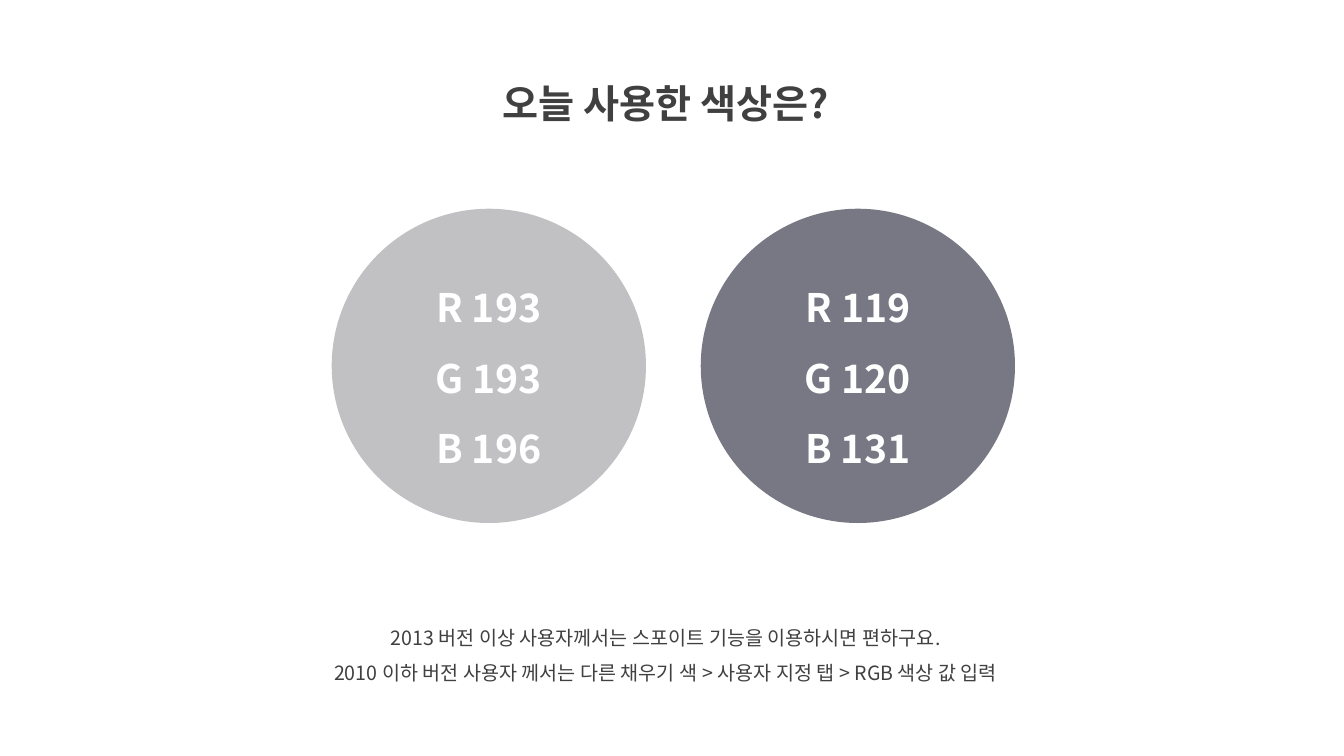
import dataclasses

import pptx
import pptx.dml.color
import pptx.enum.shapes
import pptx.enum.text
import pptx.oxml
import pptx.oxml.ns
import pptx.util
from pptx.util import Cm


@dataclasses.dataclass(frozen=True)
class Theme:
    font: str = "Noto Sans CJK KR"
    ink: tuple = (64, 64, 64)
    white: tuple = (255, 255, 255)
    light_gray: tuple = (193, 193, 196)
    slate: tuple = (119, 120, 131)
    heading: int = 28
    note: int = 14
    line_spacing: float = 1.5


THEME = Theme()


def write_text(tf, lines, size, color, bold, anchor):
    tf.text = "\n".join(lines)
    tf.word_wrap = True
    tf.auto_size = pptx.enum.text.MSO_AUTO_SIZE.NONE
    tf.vertical_anchor = anchor
    for p in tf.paragraphs:
        p.alignment = pptx.enum.text.PP_ALIGN.CENTER
        p.line_spacing = THEME.line_spacing
        for r in p.runs:
            r.font.name = THEME.font
            r.font.size = pptx.util.Pt(size)
            r.font.bold = bold
            r.font.color.rgb = pptx.dml.color.RGBColor(*color)
            ea = pptx.oxml.parse_xml(
                f'<a:ea {pptx.oxml.ns.nsdecls("a")} typeface="{THEME.font}"/>'
            )
            r.font._element.find(pptx.oxml.ns.qn("a:latin")).addnext(ea)


def set_title(s, text, left, top, width, height):
    sp = s.shapes.title
    sp.left, sp.top, sp.width, sp.height = left, top, width, height
    write_text(sp.text_frame, [text], THEME.heading, THEME.ink, True,
               pptx.enum.text.MSO_ANCHOR.TOP)


def add_note(s, lines, left, top, width, height):
    sp = s.shapes.add_textbox(left, top, width, height)
    write_text(sp.text_frame, lines, THEME.note, THEME.ink, False,
               pptx.enum.text.MSO_ANCHOR.TOP)


def add_swatch(s, color, left, top, diameter):
    sp = s.shapes.add_shape(pptx.enum.shapes.MSO_SHAPE.OVAL,
                            left, top, diameter, diameter)
    sp.shadow.inherit = False
    sp.fill.solid()
    sp.fill.fore_color.rgb = pptx.dml.color.RGBColor(*color)
    sp.line.fill.background()
    lines = [f"{channel} {value}" for channel, value in zip("RGB", color)]
    write_text(sp.text_frame, lines, THEME.heading, THEME.white, True,
               pptx.enum.text.MSO_ANCHOR.MIDDLE)


def main():
    prs = pptx.Presentation()
    prs.slide_width, prs.slide_height = Cm(33.87), Cm(19.05)
    s = prs.slides.add_slide(prs.slide_layouts.get_by_name("Title Only"))

    set_title(s, "오늘 사용한 색상은?", Cm(10.9), Cm(1.27), Cm(11.76), Cm(1.83))
    for i, color in enumerate((THEME.light_gray, THEME.slate)):
        add_swatch(s, color, Cm(8.36 + 9.3 * i), Cm(5.26), Cm(7.92))
    add_note(s, [
        "2013 버전 이상 사용자께서는 스포이트 기능을 이용하시면 편하구요.",
        "2010 이하 버전 사용자 께서는 다른 채우기 색 > 사용자 지정 탭 > RGB 색상 값 입력",
    ], Cm(6.63), Cm(15.34), Cm(20.29), Cm(2.06))

    prs.save("out.pptx")


if __name__ == "__main__":
    main()
